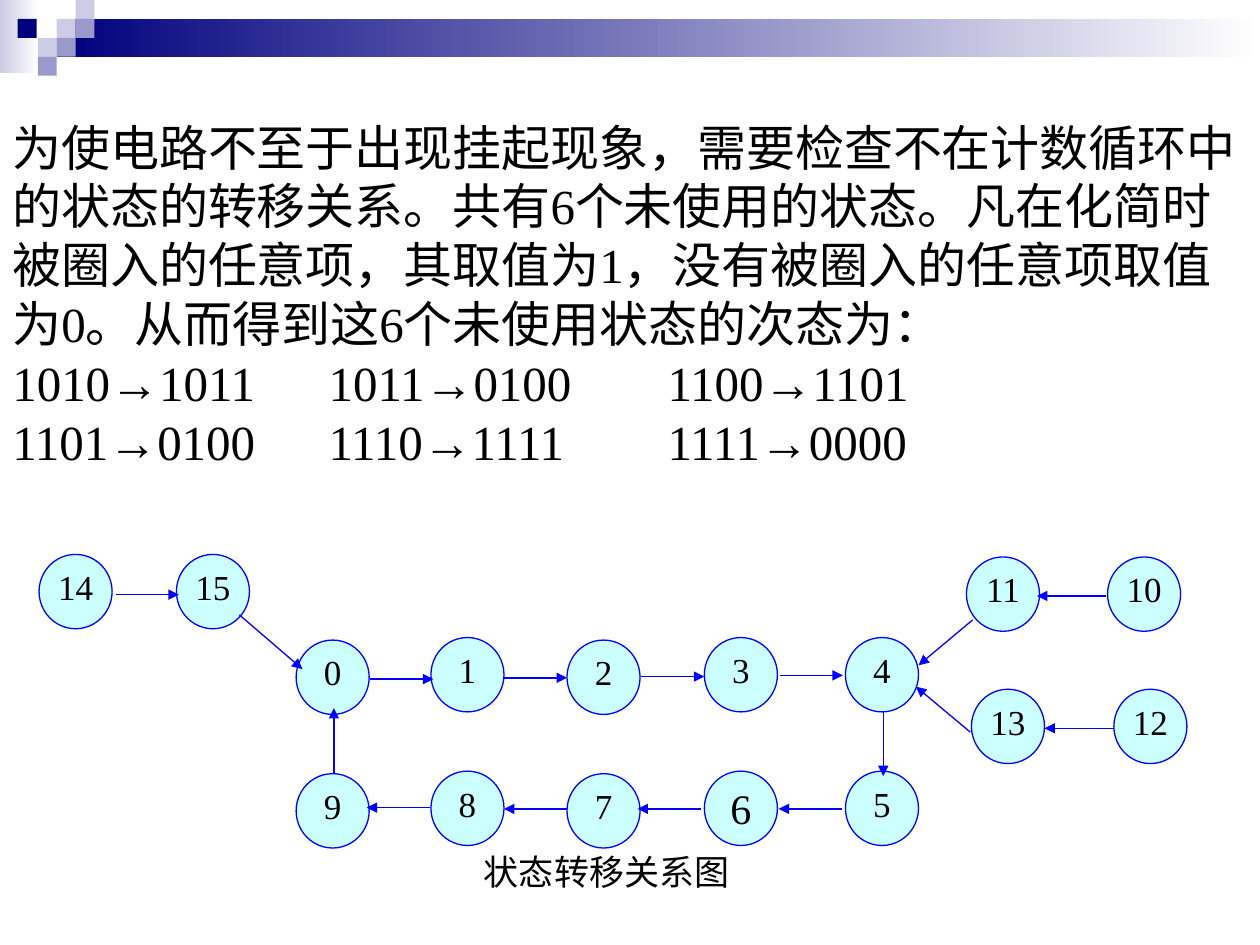
from lxml.etree import SubElement
from pptx import Presentation
from pptx.dml.color import RGBColor
from pptx.enum.shapes import MSO_CONNECTOR as Connector, MSO_SHAPE as Shape
from pptx.enum.text import MSO_ANCHOR as Anchor, MSO_AUTO_SIZE as AutoSize, PP_ALIGN as Align
from pptx.oxml.ns import qn
from pptx.util import Inches, Pt

WHITE = RGBColor(0xFF, 0xFF, 0xFF)
BLACK = RGBColor(0x00, 0x00, 0x00)
NAVY = RGBColor(0x00, 0x00, 0x7D)
LAVENDER = RGBColor(0xCC, 0xCC, 0xE6)
PERIWINKLE = RGBColor(0x99, 0x99, 0xCC)
BLUE = RGBColor(0x00, 0x00, 0xFF)
CYAN = RGBColor(0xCC, 0xFF, 0xFF)

FONT = "Times New Roman"
STATE_WIDTH, STATE_HEIGHT = 0.58, 0.59
SQUARE = 0.15
TAB_STOPS = (2.51, 5.2)

SQUARES = [
    (0.45, 0.15, LAVENDER), (0.6, 0, LAVENDER), (0.6, 0.15, PERIWINKLE),
    (0.3, 0.3, LAVENDER), (0.14, 0.15, NAVY), (0.45, 0.3, PERIWINKLE),
    (0.3, 0.45, PERIWINKLE),
]
LOOP_COLUMNS = [(2.35, 5.08), (3.42, 5.06), (4.5, 5.08), (5.59, 5.06), (6.71, 5.06)]
LOOP_DROP = 1.06
UNUSED_STATES = {
    14: (0.31, 4.4), 15: (1.4, 4.4), 11: (7.67, 4.42),
    10: (8.79, 4.42), 13: (7.71, 5.47), 12: (8.84, 5.47),
}
HORIZONTAL_ARROWS = [
    (2.94, 5.39, 0.5), (4, 5.38, 0.5), (5.09, 5.37, 0.5), (6.19, 5.36, 0.5),
    (3.41, 6.41, -0.5), (4.5, 6.42, -0.5), (5.56, 6.42, -0.5), (6.68, 6.42, -0.5),
    (0.92, 4.72, 0.5), (8.78, 4.73, -0.55), (8.84, 5.78, -0.55),
]
OTHER_ARROWS = [
    (1.9, 4.88, 2.4, 5.31), (7.72, 4.92, 7.29, 5.28), (7.7, 5.81, 7.27, 5.45),
    (7.01, 5.65, 7.01, 6.16), (2.65, 6.14, 2.65, 5.62),
]
EXPLANATION = [
    "为使电路不至于出现挂起现象，需要检查不在计数循环中的状态的转移关系。共有6个未使用的状态。"
    "凡在化简时被圈入的任意项，其取值为1，没有被圈入的任意项取值为0。从而得到这6个未使用状态的次态为：",
    "1010→1011\t1011→0100\t1100→1101",
    "1101→0100\t1110→1111\t1111→0000",
]


def write_text(frame, lines, size=20, align=Align.CENTER, anchor=Anchor.TOP, wrap=True, tabs=()):
    frame.word_wrap = wrap
    frame.vertical_anchor = anchor
    for index, line in enumerate(lines):
        paragraph = frame.paragraphs[0] if index == 0 else frame.add_paragraph()
        paragraph.text = line
        paragraph.alignment = align
        if tabs and "\t" in line:
            tab_list = SubElement(paragraph._p.get_or_add_pPr(), qn("a:tabLst"))
            for position in tabs:
                SubElement(tab_list, qn("a:tab"), pos=str(Inches(position)), algn="l")
        for run in paragraph.runs:
            run.font.name = FONT
            run.font.size = Pt(size)
            run.font.color.rgb = BLACK


def add_text(slide, left, top, width, height, lines, **text_format):
    box = slide.shapes.add_textbox(Inches(left), Inches(top), Inches(width), Inches(height))
    write_text(box.text_frame, lines, **text_format)
    box.text_frame.auto_size = AutoSize.SHAPE_TO_FIT_TEXT


def add_figure(slide, kind, left, top, width, height, colors, line=None):
    shape = slide.shapes.add_shape(kind, Inches(left), Inches(top), Inches(width), Inches(height))
    shape.shadow.inherit = False
    if len(colors) == 1:
        shape.fill.solid()
        shape.fill.fore_color.rgb = colors[0]
    else:
        shape.fill.gradient()
        shape.fill.gradient_angle = 180
        for stop, position, color in zip(shape.fill.gradient_stops, (0, 1), colors):
            stop.position = position
            stop.color.rgb = color
    if line is None:
        shape.line.fill.background()
    else:
        shape.line.color.rgb = line
        shape.line.width = Pt(0.75)
    return shape


def add_state(slide, number, left, top):
    state = add_figure(slide, Shape.OVAL, left, top, STATE_WIDTH, STATE_HEIGHT, [CYAN], line=BLUE)
    frame = state.text_frame
    frame.margin_left = frame.margin_right = frame.margin_top = frame.margin_bottom = 0
    write_text(frame, [str(number)], size=24 if number == 6 else 20)


def add_arrow(slide, start_x, start_y, end_x, end_y):
    arrow = slide.shapes.add_connector(
        Connector.STRAIGHT, Inches(start_x), Inches(start_y), Inches(end_x), Inches(end_y))
    arrow.line.color.rgb = BLUE
    arrow.line.width = Pt(0.75)
    SubElement(arrow.line._get_or_add_ln(), qn("a:tailEnd"), type="triangle")
    SubElement(arrow._element.spPr, qn("a:effectLst"))


def add_banner(slide):
    add_figure(slide, Shape.RECTANGLE, 0, 0, 0.31, 0.58, [WHITE, LAVENDER])
    add_figure(slide, Shape.RECTANGLE, 0.45, 0.15, 9.55, 0.3, [WHITE, NAVY])
    for left, top, color in SQUARES:
        add_figure(slide, Shape.RECTANGLE, left, top, SQUARE, SQUARE, [color])


def add_state_diagram(slide):
    for number, (left, top) in enumerate(LOOP_COLUMNS):
        add_state(slide, number, left, top)
        add_state(slide, 9 - number, left, top + LOOP_DROP)
    for number, (left, top) in UNUSED_STATES.items():
        add_state(slide, number, left, top)
    for x, y, length in HORIZONTAL_ARROWS:
        add_arrow(slide, x, y, x + length, y)
    for ends in OTHER_ARROWS:
        add_arrow(slide, *ends)
    add_text(slide, 3.74, 6.7, 2.15, 0.44, ["状态转移关系图"], wrap=False)


def main():
    presentation = Presentation()
    presentation.slide_width = Inches(10)
    presentation.slide_height = Inches(7.5)
    slide = presentation.slides.add_slide(presentation.slide_layouts[6])
    add_banner(slide)
    add_state_diagram(slide)
    add_text(slide, 0, 0.88, 10, 2.9, EXPLANATION, size=28, align=Align.LEFT,
             anchor=Anchor.MIDDLE, tabs=TAB_STOPS)
    presentation.save("out.pptx")


if __name__ == "__main__":
    main()
